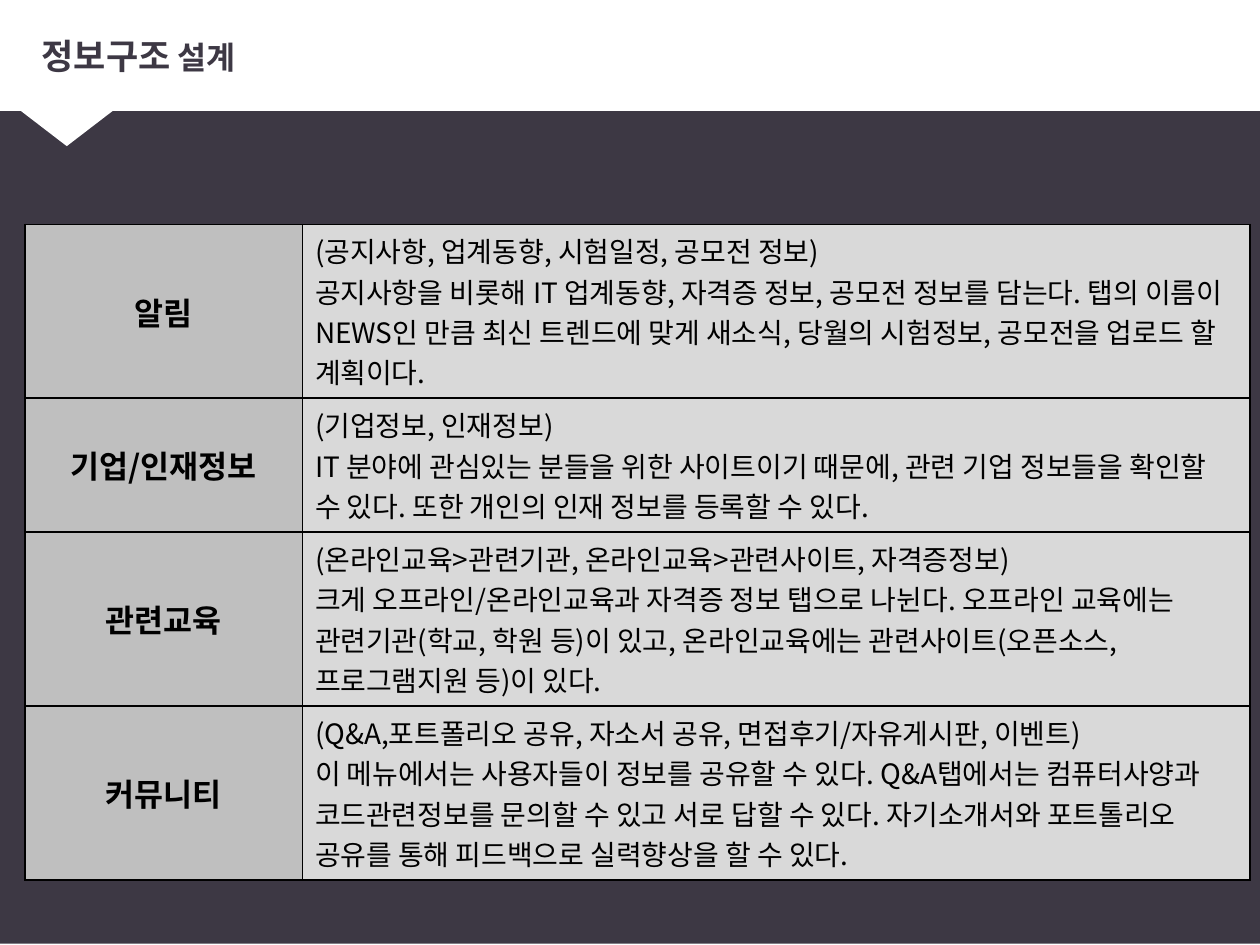
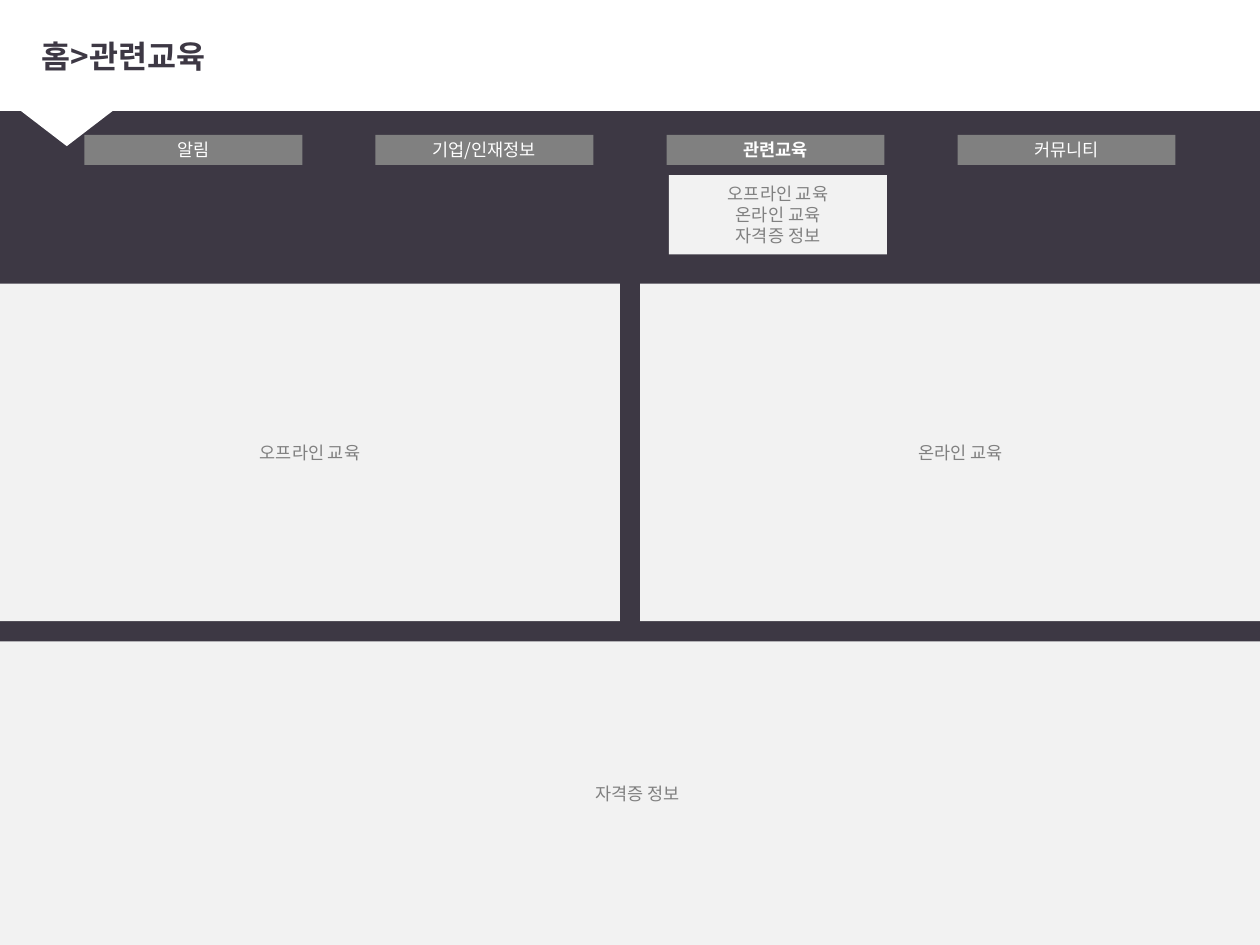
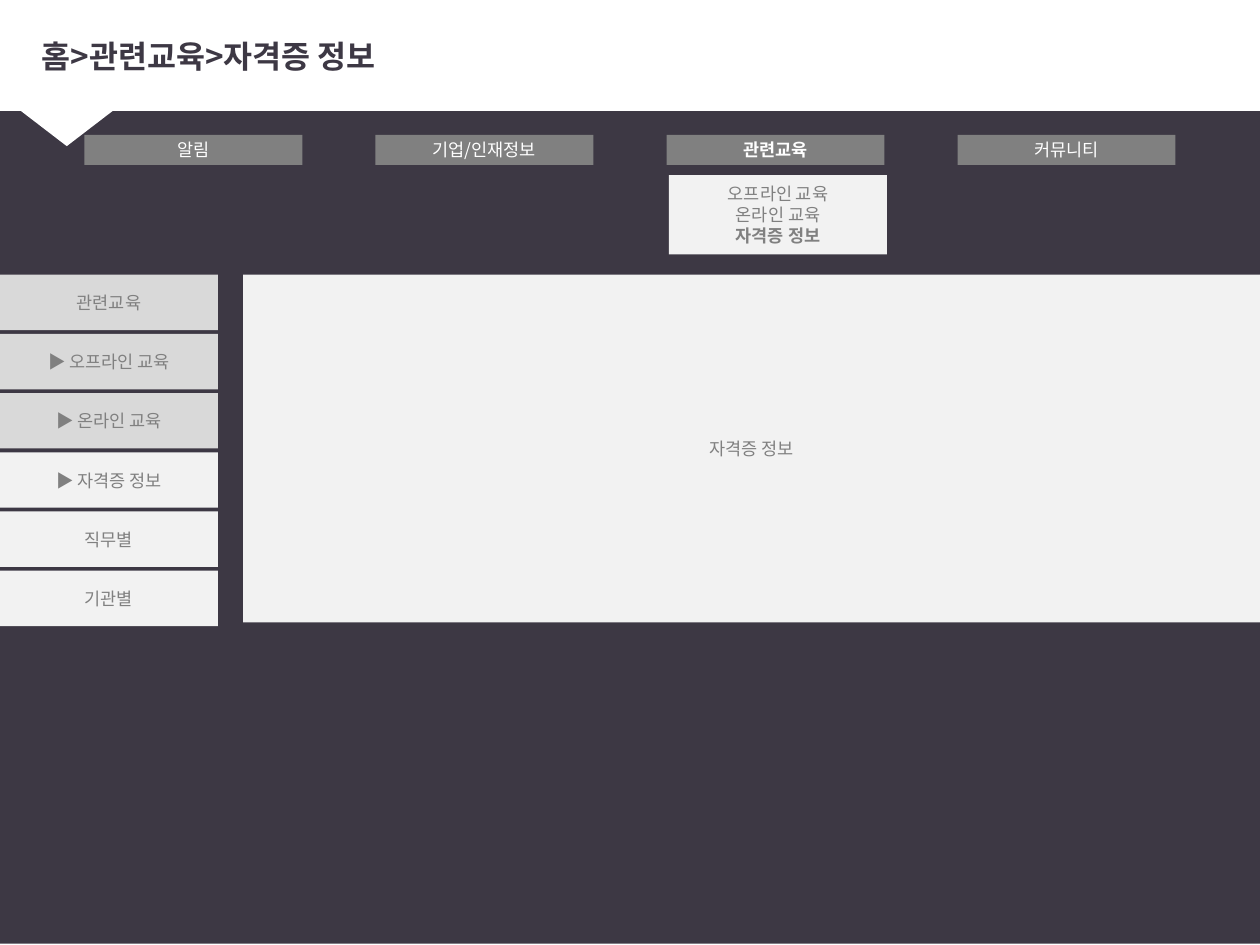
from dataclasses import dataclass

from lxml.etree import SubElement
from pptx import Presentation
from pptx.dml.color import RGBColor
from pptx.enum.shapes import MSO_SHAPE
from pptx.enum.text import MSO_ANCHOR, MSO_AUTO_SIZE, PP_ALIGN
from pptx.oxml import parse_xml
from pptx.oxml.ns import nsdecls, qn
from pptx.util import Inches, Pt

FONT = "Noto Sans CJK KR"
DARK, WHITE, BLACK = "3D3844", "FFFFFF", "000000"
GRAY, PALE, LIGHT, SILVER = "808080", "F2F2F2", "D9D9D9", "BFBFBF"

MENU = ["알림", "기업/인재정보", "관련교육", "커뮤니티"]
COURSES = ["오프라인 교육", "온라인 교육", "자격증 정보"]
ACTIVE_MENU = "관련교육"
BUTTON_W = 1.73
MENU_LEFT, MENU_PITCH = 0.67, 2.31
SIDE_TOP, SIDE_PITCH = 2.18, 0.47


@dataclass
class Box:
    """A filled rectangle, in inches, with centred lines of text."""
    left: float
    top: float
    width: float
    height: float
    lines: list[str]
    fill: str = PALE
    color: str = GRAY
    bold: str = ""


@dataclass
class Section:
    """One table row: a menu name, its sub-menus and a description."""
    name: str
    items: str
    about: str


SECTIONS = [
    Section(MENU[0], "(공지사항, 업계동향, 시험일정, 공모전 정보)",
            "공지사항을 비롯해 IT 업계동향, 자격증 정보, 공모전 정보를 담는다. "
            "탭의 이름이 NEWS인 만큼 최신 트렌드에 맞게 새소식, 당월의 시험정보, "
            "공모전을 업로드 할 계획이다."),
    Section(MENU[1], "(기업정보, 인재정보)",
            "IT 분야에 관심있는 분들을 위한 사이트이기 때문에, 관련 기업 정보들을 "
            "확인할 수 있다. 또한 개인의 인재 정보를 등록할 수 있다."),
    Section(MENU[2], "(온라인교육>관련기관, 온라인교육>관련사이트, 자격증정보)",
            "크게 오프라인/온라인교육과 자격증 정보 탭으로 나뉜다. 오프라인 교육에는 "
            "관련기관(학교, 학원 등)이 있고, 온라인교육에는 관련사이트(오픈소스, "
            "프로그램지원 등)이 있다."),
    Section(MENU[3], "(Q&A,포트폴리오 공유, 자소서 공유, 면접후기/자유게시판, 이벤트)",
            "이 메뉴에서는 사용자들이 정보를 공유할 수 있다. Q&A탭에서는 컴퓨터사양과 "
            "코드관련정보를 문의할 수 있고 서로 답할 수 있다. 자기소개서와 포트톨리오 "
            "공유를 통해 피드백으로 실력향상을 할 수 있다."),
]


def rgb(color: str) -> RGBColor:
    """Turn a hex string into a colour."""
    return RGBColor.from_string(color)


def style_run(r, size: float, color: str, bold: bool = False) -> None:
    """Set the font of a run for Latin and Korean letters."""
    r.font.size = Pt(size)
    r.font.bold = bold
    r.font.color.rgb = rgb(color)
    r.font.name = FONT
    SubElement(r.font._element, qn("a:ea"), typeface=FONT)


def add_fill_shape(slide, kind, left, top, width, height, fill: str):
    """Add a shape with a plain fill, no line and no shadow."""
    sp = slide.shapes.add_shape(kind, Inches(left), Inches(top),
                                Inches(width), Inches(height))
    sp.shadow.inherit = False
    sp.fill.solid()
    sp.fill.fore_color.rgb = rgb(fill)
    sp.line.fill.background()
    return sp


def add_box(slide, box: Box) -> None:
    """Draw a box and its text."""
    sp = add_fill_shape(slide, MSO_SHAPE.RECTANGLE, box.left, box.top,
                        box.width, box.height, box.fill)
    tf = sp.text_frame
    tf.text = "\n".join(box.lines)
    tf.vertical_anchor = MSO_ANCHOR.MIDDLE
    for p in tf.paragraphs:
        p.alignment = PP_ALIGN.CENTER
        for r in p.runs:
            style_run(r, 10, box.color, r.text == box.bold)


def add_backdrop(slide) -> None:
    """Put the dark ground, the title band and its pointer on the layout."""
    rect = MSO_SHAPE.RECTANGLE
    ground = add_fill_shape(slide, rect, 0, -0.01, 10.14, 7.5, DARK)
    band = add_fill_shape(slide, rect, -0.03, -0.02, 10.17, 0.9, WHITE)
    pointer = add_fill_shape(slide, MSO_SHAPE.ISOSCELES_TRIANGLE,
                             -0.2, 0.6, 1.46, 0.56, WHITE)
    pointer.rotation = 180
    tree = slide.slide_layout.shapes.element
    for i, sp in enumerate([ground, band, pointer]):
        sp.element.xpath(".//p:cNvPr")[0].set("id", str(101 + i))
        tree.insert(2 + i, sp.element)


def add_titled_slide(prs, *parts: tuple[str, float]):
    """Add a slide whose title is made of (text, size) parts."""
    slide = prs.slides.add_slide(prs.slide_layouts[5])
    title = slide.shapes.title
    title.left, title.top = Inches(0.23), Inches(0.13)
    title.width, title.height = Inches(9.66), Inches(0.62)
    tf = title.text_frame
    tf.auto_size = MSO_AUTO_SIZE.NONE
    tf.vertical_anchor = MSO_ANCHOR.MIDDLE
    p = tf.paragraphs[0]
    p.alignment = PP_ALIGN.LEFT
    for text, size in parts:
        r = p.add_run()
        r.text = text
        style_run(r, size, DARK, True)
    return slide


def add_menu(slide, active_course: str = "") -> None:
    """Draw the menu bar and the open list below its active button."""
    for i, name in enumerate(MENU):
        add_box(slide, Box(MENU_LEFT + i * MENU_PITCH, 1.07, BUTTON_W, 0.24,
                           [name], GRAY, WHITE, ACTIVE_MENU))
    add_box(slide, Box(5.31, 1.39, BUTTON_W, 0.63, COURSES, bold=active_course))


def format_cell(cell, text: str, fill: str, size: float, bold: bool,
                align: PP_ALIGN) -> None:
    """Fill a table cell with text, ground and a thin black border."""
    cell.text = text
    cell.vertical_anchor = MSO_ANCHOR.MIDDLE
    cell.fill.solid()
    cell.fill.fore_color.rgb = rgb(fill)
    for p in cell.text_frame.paragraphs:
        p.alignment = align
        for r in p.runs:
            style_run(r, size, BLACK, bold)
    tc_pr = cell._tc.get_or_add_tcPr()
    for i, side in enumerate("LRTB"):
        tc_pr.insert(i, parse_xml(
            f'<a:ln{side} {nsdecls("a")} w="{Pt(1)}"><a:solidFill>'
            f'<a:srgbClr val="{BLACK}"/></a:solidFill></a:ln{side}>'))


def add_section_table(slide) -> None:
    """Draw the table that describes each menu section."""
    table = slide.shapes.add_table(len(SECTIONS), 2, Inches(0.2), Inches(1.78),
                                   Inches(9.72), Inches(4.92)).table
    for column, width in zip(table.columns, (2.2, 7.52)):
        column.width = Inches(width)
    for row, height, section in zip(table.rows, (1.29, 1.05, 1.29, 1.29), SECTIONS):
        row.height = Inches(height)
        name, detail = row.cells
        format_cell(name, section.name, SILVER, 18, True, PP_ALIGN.CENTER)
        format_cell(detail, f"{section.items}\n{section.about}", LIGHT, 16, False,
                    PP_ALIGN.LEFT)


def add_sidebar(slide) -> None:
    """Draw the side menu; the open section is paler than the rest."""
    names = [ACTIVE_MENU, *(f"▶ {course}" for course in COURSES), "직무별", "기관별"]
    for i, name in enumerate(names):
        add_box(slide, Box(0, SIDE_TOP + i * SIDE_PITCH, BUTTON_W, 0.44, [name],
                           LIGHT if i < 3 else PALE))


def main() -> None:
    """Build the three slides and save them."""
    prs = Presentation()
    prs.slide_width, prs.slide_height = Inches(10), Inches(7.5)

    slide = add_titled_slide(prs, ("정보구조", 20), (" 설계", 18))
    add_backdrop(slide)
    add_section_table(slide)

    slide = add_titled_slide(prs, ("홈>관련교육", 18))
    add_menu(slide)
    offline, online, certificate = COURSES
    add_box(slide, Box(0, 2.25, 4.92, 2.68, [offline]))
    add_box(slide, Box(5.08, 2.25, 5.08, 2.68, [online]))
    add_box(slide, Box(0, 5.09, 10.12, 2.41, [certificate]))

    slide = add_titled_slide(prs, ("홈>관련교육>자격증 정보", 18))
    add_menu(slide, certificate)
    add_sidebar(slide)
    add_box(slide, Box(1.93, SIDE_TOP, 8.07, 2.76, [certificate]))

    prs.save("out.pptx")


main()
